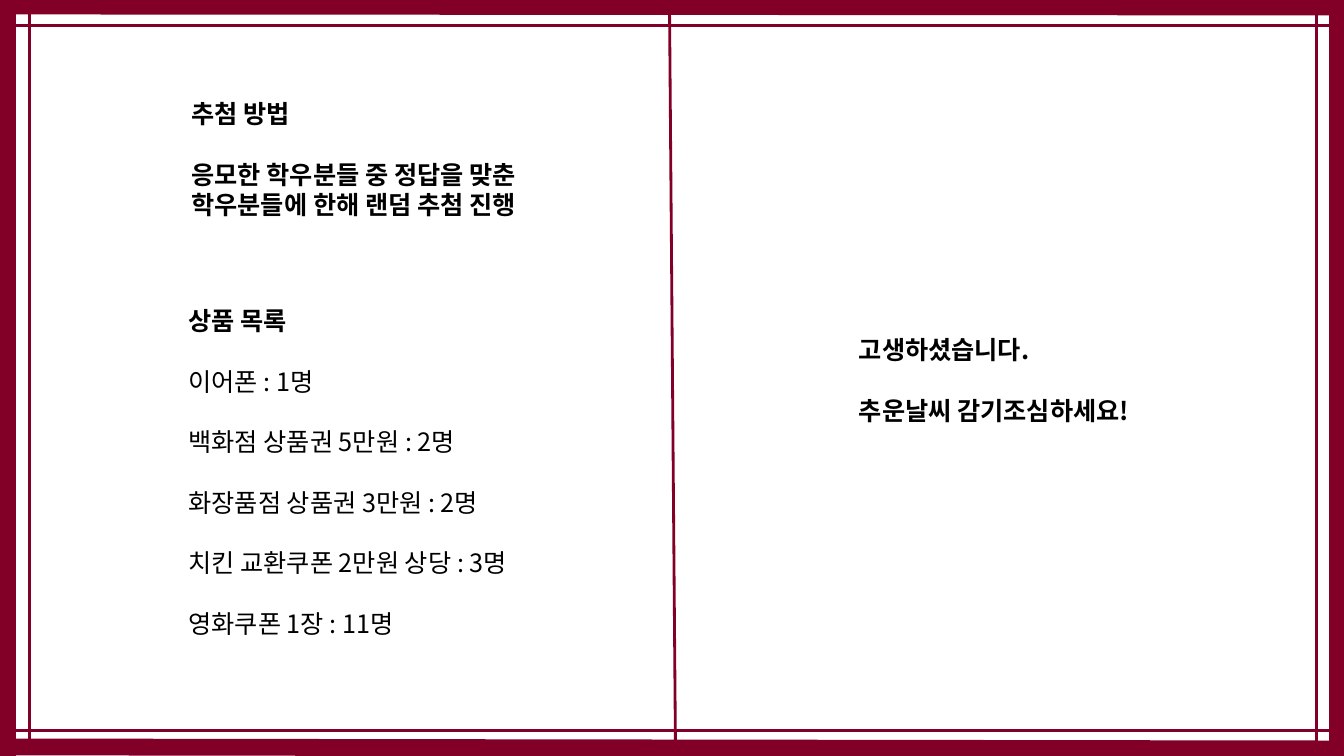
from dataclasses import dataclass

from lxml.etree import SubElement
from pptx import Presentation
from pptx.dml.color import RGBColor
from pptx.enum.shapes import MSO_CONNECTOR
from pptx.enum.text import MSO_ANCHOR, MSO_AUTO_SIZE, PP_ALIGN
from pptx.oxml.ns import qn
from pptx.shapes.base import BaseShape
from pptx.slide import Slide
from pptx.util import Inches, Pt

COLORS = {"crimson": "820028", "text": "000000"}
FONT = "Noto Sans CJK KR"
LINE_PITCH = 21.6
THICK, THIN = 12, 2


@dataclass(frozen=True)
class Rule:
    start: tuple[float, float]
    end: tuple[float, float]
    weight: float


@dataclass(frozen=True)
class Line:
    text: str
    bold: bool = True
    gap_before: float = 0


FRAME_RULES = [
    Rule((0, 0.06), (13.33, 0.07), THICK),
    Rule((0.08, 0.07), (0.08, 7.5), THICK),
    Rule((13.26, 0.01), (13.26, 7.5), THICK),
    Rule((0, 0.25), (13.33, 0.25), THIN),
    Rule((13.06, 0.06), (13.06, 7.5), THIN),
    Rule((0.29, 0.13), (0.29, 7.41), THIN),
    Rule((0, 7.41), (13.33, 7.43), THICK),
    Rule((0, 7.25), (13.33, 7.25), THIN),
]
CENTER_FOLD = Rule((6.64, 0), (6.7, 7.5), THIN)

PRIZES = [
    "이어폰 : 1명",
    "백화점 상품권 5만원 : 2명",
    "화장품점 상품권 3만원 : 2명",
    "치킨 교환쿠폰 2만원 상당 : 3명",
    "영화쿠폰 1장 : 11명",
]


def draw_rule(slide: Slide, rule: Rule) -> None:
    ends = [Inches(value) for value in (*rule.start, *rule.end)]
    connector = slide.shapes.add_connector(MSO_CONNECTOR.STRAIGHT, *ends)
    connector.line.color.rgb = RGBColor.from_string(COLORS["crimson"])
    connector.line.width = Pt(rule.weight)
    SubElement(connector._element.spPr, qn("a:effectLst"))


def place(shape: BaseShape, left: float, top: float, width: float, height: float) -> None:
    shape.left, shape.top = Inches(left), Inches(top)
    shape.width, shape.height = Inches(width), Inches(height)


def write_text(shape: BaseShape, lines: list[Line], *, size: float = 18,
               color: str = "text", font: str = FONT) -> None:
    """Fill a shape with top-left, unbulleted lines at a fixed pitch."""
    frame = shape.text_frame
    frame.word_wrap = True
    frame.auto_size = MSO_AUTO_SIZE.NONE
    frame.vertical_anchor = MSO_ANCHOR.TOP
    for index, line in enumerate(lines):
        paragraph = frame.add_paragraph() if index else frame.paragraphs[0]
        paragraph.alignment = PP_ALIGN.LEFT
        paragraph.line_spacing = Pt(LINE_PITCH)
        paragraph.space_before = Pt(line.gap_before)
        paragraph.space_after = Pt(0)
        properties = paragraph._p.get_or_add_pPr()
        properties.set("marL", "0")
        properties.set("indent", "0")
        SubElement(properties, qn("a:buNone"))
        run = paragraph.add_run()
        run.text = line.text
        run.font.name = font
        run.font.size = Pt(size)
        run.font.bold = line.bold
        run.font.color.rgb = RGBColor.from_string(COLORS[color])
        SubElement(run._r.get_or_add_rPr(), qn("a:ea")).set("typeface", font)


def main() -> None:
    presentation = Presentation()
    presentation.slide_width = Inches(13.33)
    presentation.slide_height = Inches(7.5)
    slide = presentation.slides.add_slide(presentation.slide_layouts[1])

    for rule in [*FRAME_RULES, CENTER_FOLD]:
        draw_rule(slide, rule)

    draw_heading = slide.shapes.title
    place(draw_heading, 1.8, 0.93, 4.47, 0.4)
    write_text(draw_heading, [Line("추첨 방법")])

    draw_method = slide.shapes.add_textbox(0, 0, 0, 0)
    place(draw_method, 1.8, 1.53, 4.47, 0.7)
    write_text(draw_method, [
        Line("응모한 학우분들 중 정답을 맞춘"),
        Line("학우분들에 한해 랜덤 추첨 진행"),
    ])

    prize_list = slide.placeholders[1]
    place(prize_list, 1.77, 2.98, 4.16, 3.43)
    prizes = [Line(prize, bold=False, gap_before=LINE_PITCH) for prize in PRIZES]
    write_text(prize_list, [Line("상품 목록"), *prizes])

    closing = slide.shapes.add_textbox(0, 0, 0, 0)
    place(closing, 8.42, 3.27, 4.9, 1.31)
    write_text(closing, [
        Line("고생하셨습니다."),
        Line("추운날씨 감기조심하세요!", gap_before=LINE_PITCH),
    ])

    presentation.save("out.pptx")


if __name__ == "__main__":
    main()
